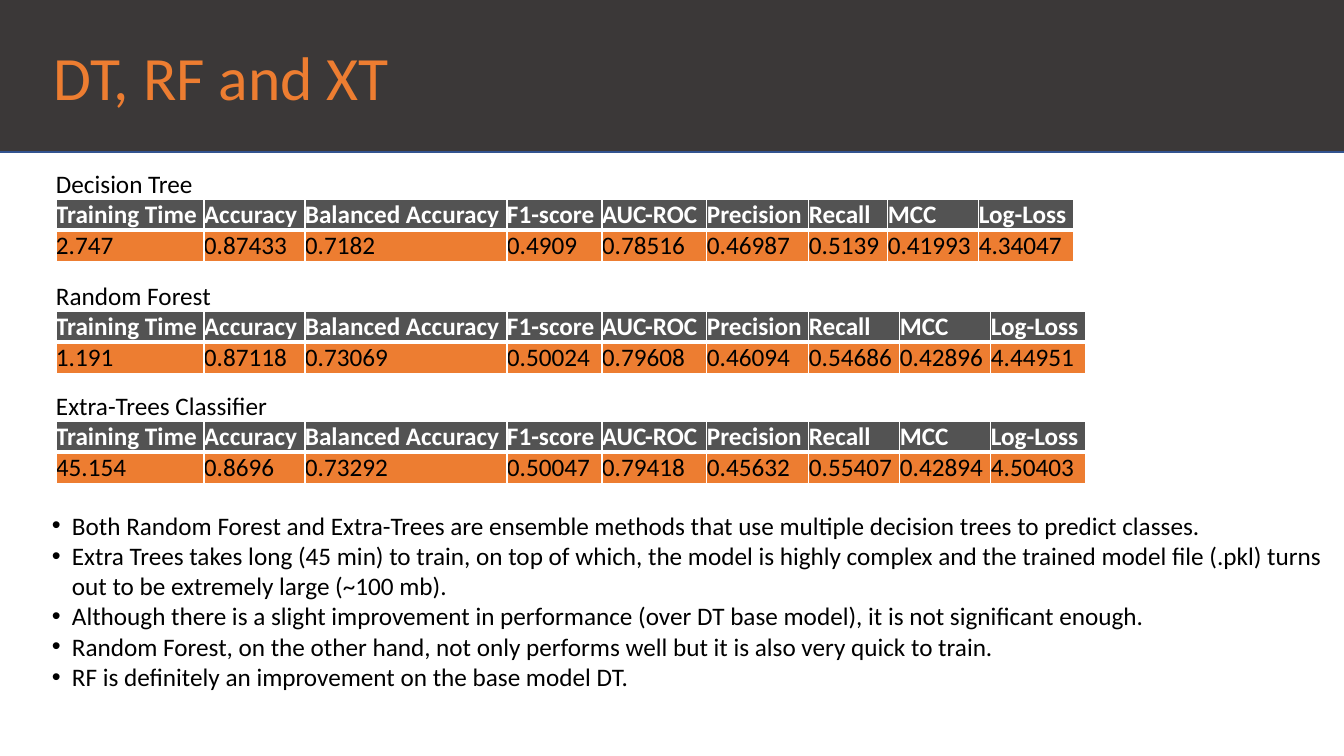
from lxml.etree import SubElement
from pptx import Presentation
from pptx.dml.color import RGBColor
from pptx.enum.shapes import MSO_SHAPE
from pptx.enum.text import MSO_ANCHOR
from pptx.oxml import parse_xml
from pptx.oxml.ns import nsdecls, qn
from pptx.util import Pt

TITLE = "DT, RF and XT"
METRICS = ["Training Time", "Accuracy", "Balanced Accuracy", "F1-score", "AUC-ROC",
           "Precision", "Recall", "MCC", "Log-Loss"]
# model, top, width of the Recall column, scores
MODELS = [
    ("Decision Tree", 169, 79,
     ["2.747", "0.87433", "0.7182", "0.4909", "0.78516", "0.46987", "0.5139", "0.41993", "4.34047"]),
    ("Random Forest", 281, 91,
     ["1.191", "0.87118", "0.73069", "0.50024", "0.79608", "0.46094", "0.54686", "0.42896", "4.44951"]),
    ("Extra-Trees Classifier", 391, 91,
     ["45.154", "0.8696", "0.73292", "0.50047", "0.79418", "0.45632", "0.55407", "0.42894", "4.50403"]),
]
FINDINGS = [
    "Both Random Forest and Extra-Trees are ensemble methods that use multiple decision trees to predict classes.",
    "Extra Trees takes long (45 min) to train, on top of which, the model is highly complex and the trained "
    "model file (.pkl) turns out to be extremely large (~100 mb).",
    "Although there is a slight improvement in performance (over DT base model), it is not significant enough.",
    "Random Forest, on the other hand, not only performs well but it is also very quick to train.",
    "RF is definitely an improvement on the base model DT.",
]
COLORS = {"band": "3B3838", "band_line": "32538F", "accent": "ED7D31",
          "header": "535353", "white": "FFFFFF", "text": "000000"}
FONT = "Calibri"
TABLE_LEFT = 56
ROW_HEIGHTS = [26, 31, 31]
TEXT_INSET = 5
BULLET_INDENT = 20


def px(length):
    return round(length * 914400 / 100.8)


def color(name):
    return RGBColor.from_string(COLORS[name])


def format_text(text_frame, size, color_name, bold=False):
    for paragraph in text_frame.paragraphs:
        for run in paragraph.runs:
            run.font.name = FONT
            run.font.size = Pt(size)
            run.font.bold = bold
            run.font.color.rgb = color(color_name)


def set_margins(target, margin):
    target.margin_left = target.margin_right = px(margin)
    target.margin_top = target.margin_bottom = px(margin)


def add_text_box(shapes, box, text):
    text_frame = shapes.add_textbox(*map(px, box)).text_frame
    text_frame.word_wrap = True
    set_margins(text_frame, TEXT_INSET)
    text_frame.text = text
    return text_frame


def set_borders(cell, top, bottom):
    """Draw white cell borders; top and bottom widths are in points."""
    properties = cell._tc.get_or_add_tcPr()
    for index, (side, width) in enumerate([("L", 1), ("R", 1), ("T", top), ("B", bottom)]):
        properties.insert(index, parse_xml(
            f'<a:ln{side} {nsdecls("a")} w="{Pt(width)}"><a:solidFill>'
            f'<a:srgbClr val="{COLORS["white"]}"/></a:solidFill></a:ln{side}>'))


def add_model_table(shapes, model, top, recall_width, scores):
    widths = [148, 101, 202, 95, 105, 102, recall_width, 91, 95]
    box = (TABLE_LEFT, top, sum(widths), sum(ROW_HEIGHTS))
    table = shapes.add_table(len(ROW_HEIGHTS), len(widths), *map(px, box)).table
    table.first_row = table.horz_banding = False
    for column, width in zip(table.columns, widths):
        column.width = px(width)
    for row, height in zip(table.rows, ROW_HEIGHTS):
        row.height = px(height)
    table.cell(0, 0).merge(table.cell(0, len(widths) - 1))

    label_row = [model] + [""] * (len(widths) - 1)
    # texts, fill, font colour, bold, top border, bottom border
    rows = [(label_row, None, "text", False, 1, 1),
            (METRICS, "header", "white", True, 1, 3),
            (scores, "accent", "text", False, 3, 1)]
    for row, (texts, fill, font_color, bold, top_border, bottom_border) in zip(table.rows, rows):
        for cell, text in zip(row.cells, texts):
            set_margins(cell, 0)
            set_borders(cell, top_border, bottom_border)
            if fill:
                cell.fill.solid()
                cell.fill.fore_color.rgb = color(fill)
            else:
                cell.fill.background()
            if text:
                cell.text_frame.text = text
                format_text(cell.text_frame, 18, font_color, bold)


def add_heading(shapes):
    heading = shapes.add_group_shape().shapes
    band = heading.add_shape(MSO_SHAPE.RECTANGLE, *map(px, (-1, -1, 1348, 153)))
    band.shadow.inherit = False
    band.fill.solid()
    band.fill.fore_color.rgb = color("band")
    band.line.color.rgb = color("band_line")
    band.line.width = Pt(1)
    title = add_text_box(heading, (48, 39, 1336, 73), TITLE)
    title.vertical_anchor = MSO_ANCHOR.MIDDLE
    format_text(title, 44, "accent")


def add_findings(shapes):
    findings = add_text_box(shapes, (47, 505, 1290, 198), "\n".join(FINDINGS))
    format_text(findings, 18, "text")
    for paragraph in findings.paragraphs:
        properties = paragraph._p.get_or_add_pPr()
        properties.set("marL", str(px(BULLET_INDENT)))
        properties.set("indent", str(-px(BULLET_INDENT)))
        SubElement(properties, qn("a:buFont"), typeface="Arial")
        SubElement(properties, qn("a:buChar"), char="•")


def main():
    presentation = Presentation()
    presentation.slide_width = px(1344)
    presentation.slide_height = px(756)
    slide = presentation.slides.add_slide(presentation.slide_layouts[6])
    add_heading(slide.shapes)
    for model in MODELS:
        add_model_table(slide.shapes, *model)
    add_findings(slide.shapes)
    presentation.save("out.pptx")


if __name__ == "__main__":
    main()
